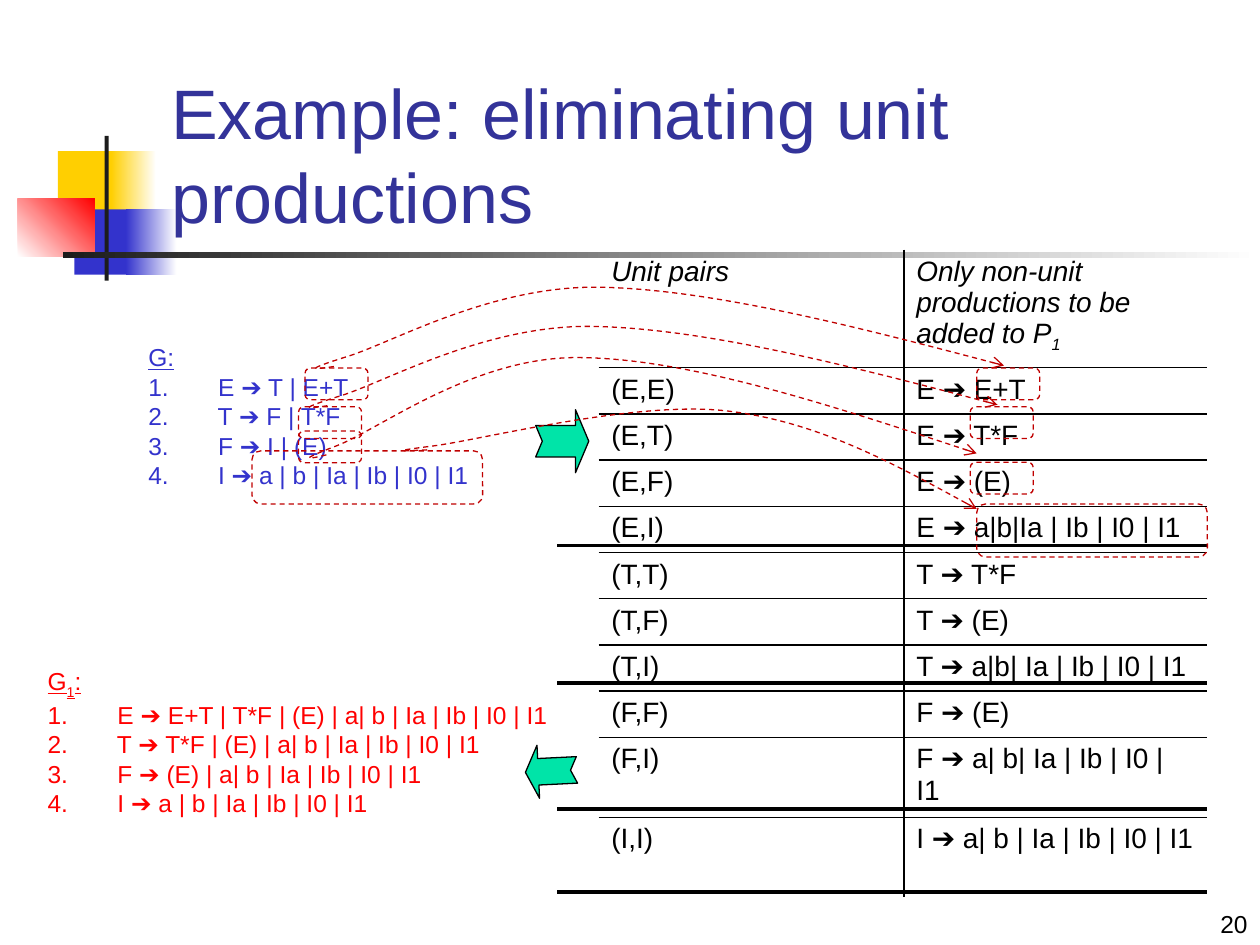
from lxml import etree
from pptx import Presentation
from pptx.dml.color import RGBColor
from pptx.enum.dml import MSO_LINE
from pptx.enum.shapes import MSO_CONNECTOR, MSO_SHAPE
from pptx.enum.text import MSO_ANCHOR, MSO_AUTO_SIZE, PP_ALIGN
from pptx.oxml.ns import qn
from pptx.util import Cm, Pt

RECT, ROUND = MSO_SHAPE.RECTANGLE, MSO_SHAPE.ROUNDED_RECTANGLE
NOTCH, LINE = MSO_SHAPE.NOTCHED_RIGHT_ARROW, MSO_CONNECTOR.STRAIGHT
DASH, BOTTOM, NONE = MSO_LINE.DASH, MSO_ANCHOR.BOTTOM, MSO_AUTO_SIZE.NONE
LEFT, RIGHT = PP_ALIGN.LEFT, PP_ALIGN.RIGHT
BLACK, WHITE, BLUE, RED, GREEN, DARK = (
    "000000", "FFFFFF", "3333CC", "FF0000", "00E4A8", "C00000")

# Content: lengths in cm, boxes as left, top, width, height
TITLE = "Example: eliminating unit productions"
# Box, first colour, last colour, angle
DECOR = [
    ((1.17, 3.05, 1.22, 1.32), "FFCF01", None, 0),
    ((2.24, 3.05, 0.91, 1.32), "FFCF01", WHITE, 0),
    ((1.5, 4.22, 1.17, 1.32), BLUE, None, 0),
    ((2.54, 4.22, 1.02, 1.32), BLUE, WHITE, 0),
    ((0.36, 4.01, 1.55, 1.17), WHITE, RED, 45),
    ((2.11, 2.74, 0.08, 2.92), "1C1C1C", None, 0),
    ((1.27, 5.08, 24.13, 0.13), "1C1C1C", WHITE, 0),
]
# Runs are (text, baseline shift)
GRAMMARS = [
    ((0.2, 6.78, 10.1, 3.2), BLUE, [("G:", 0)],
     ["E ➔ T | E+T", "T ➔ F | T*F", "F ➔ I | (E)",
      "I ➔ a | b | Ia | Ib | I0 | I1"]),
    ((-1.83, 13.31, 13.8, 3.2), RED, [("G", 0), ("1", -25), (":", 0)],
     ["E ➔ E+T | T*F | (E) | a| b | Ia | Ib | I0 | I1",
      "T ➔ T*F | (E) | a| b | Ia | Ib | I0 | I1",
      "F ➔ (E) | a| b | Ia | Ib | I0 | I1",
      "I ➔ a | b | Ia | Ib | I0 | I1"]),
]
HEAD = [[("Unit pairs", 0)],
        [("Only non-unit productions to be added to P", 0), ("1", -25)]]
PAIRS = [
    ("(E,E)", "E ➔ E+T"),
    ("(E,T)", "E ➔ T*F"),
    ("(E,F)", "E ➔ (E)"),
    ("(E,I)", "E ➔ a|b|Ia | Ib | I0 | I1"),
    ("(T,T)", "T ➔ T*F"),
    ("(T,F)", "T ➔ (E)"),
    ("(T,I)", "T ➔ a|b| Ia | Ib | I0 | I1"),
    ("(F,F)", "F ➔ (E)"),
    ("(F,I)", "F ➔ a| b| Ia | Ib | I0 | I1"),
    ("(I,I)", "I ➔ a| b | Ia | Ib | I0 | I1"),
]
COLS, ROWS = [6.15, 6.12], [2.38] + [0.93] * 8 + [1.61] * 2
ARROWS = [((10.8, 8.26, 1.07, 1.27), 0), ((10.59, 15.01, 1.04, 1.07), 177.2)]
RULES = [11, 13.77, 16.31, 17.98]
SMALL, LARGE = (1.27, 0.64), (4.65, 1.07)
# Curves: start, then three points for each Bezier part
ARC = [(6.73, 7.39), (6.38, 7.44), (6.05, 7.49), (6.93, 7.21), (7.82, 6.96),
       (9.83, 5.77), (12.04, 5.79), (14.25, 5.82), (17.25, 6.58), (20.24, 7.37)]
# Tag size, tag in the grammar, tag in the table, curve between them
LINKS = [
    (SMALL, (6.15, 7.42), (19.69, 7.42), ARC),
    (SMALL, (6.02, 8.2), (19.56, 8.2), [(x - 0.13, y + 0.79) for x, y in ARC]),
    (SMALL, (6.02, 8.69), (19.56, 9.32),
     [(6.58, 9.17), (6.25, 9.25), (5.92, 9.32), (6.78, 8.99), (7.65, 8.66),
      (9.58, 7.16), (11.73, 7.21), (13.89, 7.24), (16.79, 8.18), (19.69, 9.14)]),
    (LARGE, (5.08, 9.09), (19.69, 10.16),
     [(8.61, 9.07), (8.15, 9.09), (7.72, 9.12), (8.74, 8.99), (9.73, 8.86),
      (12.78, 8.08), (14.61, 8.28), (16.43, 8.48), (18.06, 9.37), (19.69, 10.26)]),
]


def cms(vals):
    return [Cm(v) for v in vals]


def rgb(code):
    return RGBColor.from_string(code)


def sub(node, tag, **attrs):
    return etree.SubElement(node, qn(tag), attrs)


def write(para, runs, size, color, italic=False, under=False):
    for text, shift in runs:
        run = para.add_run()
        run.text = text
        font = run.font
        font.name, font.size, font.color.rgb = "Arial", Pt(size), rgb(color)
        font.italic, font.underline = italic, under
        if shift:
            font._element.set("baseline", str(shift * 1000))


def stroke(item, color, width, dash=None):
    item.line.color.rgb, item.line.width = rgb(color), Pt(width)
    if dash:
        item.line.dash_style = dash


def shape(parent, kind, box, fill=None):
    item = parent.add_shape(kind, *cms(box))
    item.shadow.inherit = False
    if fill:
        item.fill.solid()
        item.fill.fore_color.rgb = rgb(fill)
    else:
        item.fill.background()
    return item


def edge(cell, side, drawn):
    line = sub(cell._tc.get_or_add_tcPr(), "a:ln" + side, w="12700")
    if drawn:
        sub(sub(line, "a:solidFill"), "a:srgbClr", val=BLACK)
    else:
        sub(line, "a:noFill")


def curve(parent, points):
    start, *rest = [cms(p) for p in points]
    pen = parent.build_freeform(*start, scale=1.0)
    pen.add_line_segments(rest, close=False)
    item = pen.convert_to_shape()
    item.shadow.inherit = False
    item.fill.background()
    stroke(item, DARK, 0.75, DASH)
    sub(item.line._get_or_add_ln(), "a:tailEnd", type="arrow")
    # Turn each three straight steps into one Bezier part
    steps = list(item._element.iter(qn("a:lnTo")))
    track = steps[0].getparent()
    for i in range(0, len(steps), 3):
        bend = sub(track, "a:cubicBezTo")
        for step in steps[i:i + 3]:
            bend.append(step[0])
            track.remove(step)


deck = Presentation()
deck.slide_width, deck.slide_height = Cm(25.4), Cm(19.05)
slide = deck.slides.add_slide(deck.slide_layouts[5])
shapes = slide.shapes

# Corner blocks and rule
for box, first, last, angle in DECOR:
    block = shape(shapes, RECT, box, first)
    block.line.fill.background()
    if last:
        block.fill.gradient()
        block.fill.gradient_angle = angle
        for stop, code in zip(block.fill.gradient_stops, (first, last)):
            stop.color.rgb = rgb(code)

# Title, in front of the blocks
title = shapes.title
shapes._spTree.append(title._element)
title.left, title.top, title.width, title.height = cms((3.2, 1.73, 21.64, 3.18))
frame = title.text_frame
frame.word_wrap, frame.auto_size, frame.vertical_anchor = True, NONE, BOTTOM
frame.paragraphs[0].alignment = LEFT
write(frame.paragraphs[0], [(TITLE, 0)], 40, "333399")

# Page number
frame = shapes.add_textbox(*cms((20.12, 17.78, 5.28, 1.27))).text_frame
frame.word_wrap, frame.vertical_anchor = True, BOTTOM
frame.paragraphs[0].alignment = RIGHT
write(frame.paragraphs[0], [("20", 0)], 14, BLACK)

# Table of unit pairs
grid = shapes.add_table(len(ROWS), 2, *cms((12.07, 5.03, sum(COLS), sum(ROWS)))).table
grid.first_row = grid.horz_banding = False
for col, width in zip(grid.columns, COLS):
    col.width = Cm(width)
for row, height in zip(grid.rows, ROWS):
    row.height = Cm(height)
for r, row in enumerate([HEAD] + [[[(t, 0)] for t in pair] for pair in PAIRS]):
    for c, runs in enumerate(row):
        cell = grid.cell(r, c)
        inner = {"L": c > 0, "R": c == 0, "T": r > 0, "B": r < len(PAIRS)}
        for side, drawn in inner.items():
            edge(cell, side, drawn)
        cell.fill.background()
        write(cell.text_frame.paragraphs[0], runs, 16, BLACK, italic=r == 0)

# Block arrows
for box, turn in ARROWS:
    arrow = shape(shapes, NOTCH, box, GREEN)
    arrow.adjustments[0], arrow.adjustments[1] = 0.5, 0.25
    arrow.rotation = turn
    stroke(arrow, BLACK, 0.75)

# Grammars as numbered lists
for box, color, name, rules in GRAMMARS:
    frame = shapes.add_textbox(*cms(box)).text_frame
    frame.word_wrap = True
    for i, runs in enumerate([name] + [[(" " + rule, 0)] for rule in rules]):
        para = frame.add_paragraph() if i else frame.paragraphs[0]
        props = para._p.get_or_add_pPr()
        props.set("marL", str(Cm(3.81)))
        props.set("indent", str(Cm(-1.27)))
        if i:
            sub(props, "a:buFont", typeface="Arial")
            sub(props, "a:buAutoNum", type="arabicPeriod")
        write(para, runs, 14, color, under=i == 0)

# Heavy rules between the groups of pairs
for y in RULES:
    rule = shapes.add_connector(LINE, *cms((11.23, y, 24.33, y)))
    stroke(rule, BLACK, 2)
    sub(rule._element.spPr, "a:effectLst")

# Dashed tags joined by curves
for size, start, end, points in LINKS:
    group = shapes.add_group_shape().shapes
    for spot in (start, end):
        stroke(shape(group, ROUND, spot + size), DARK, 0.75, DASH)
    curve(group, points)

deck.save("out.pptx")
